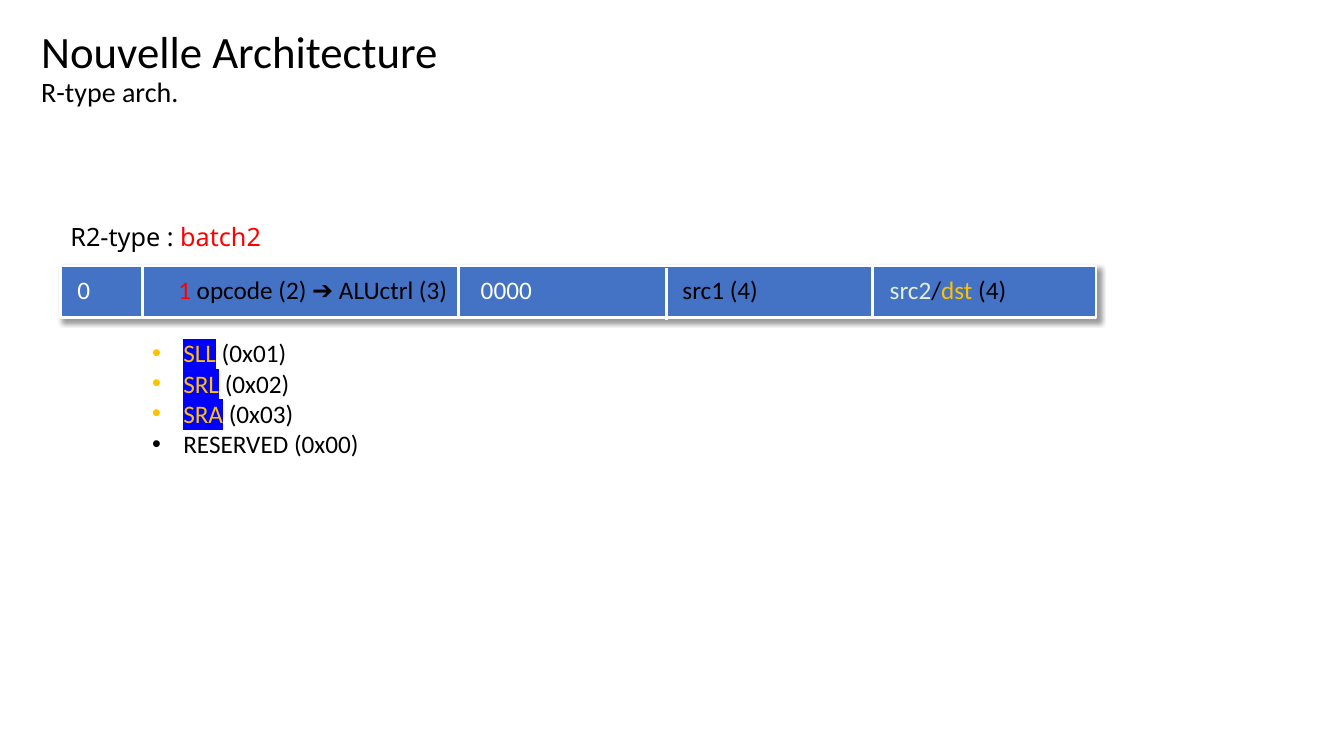
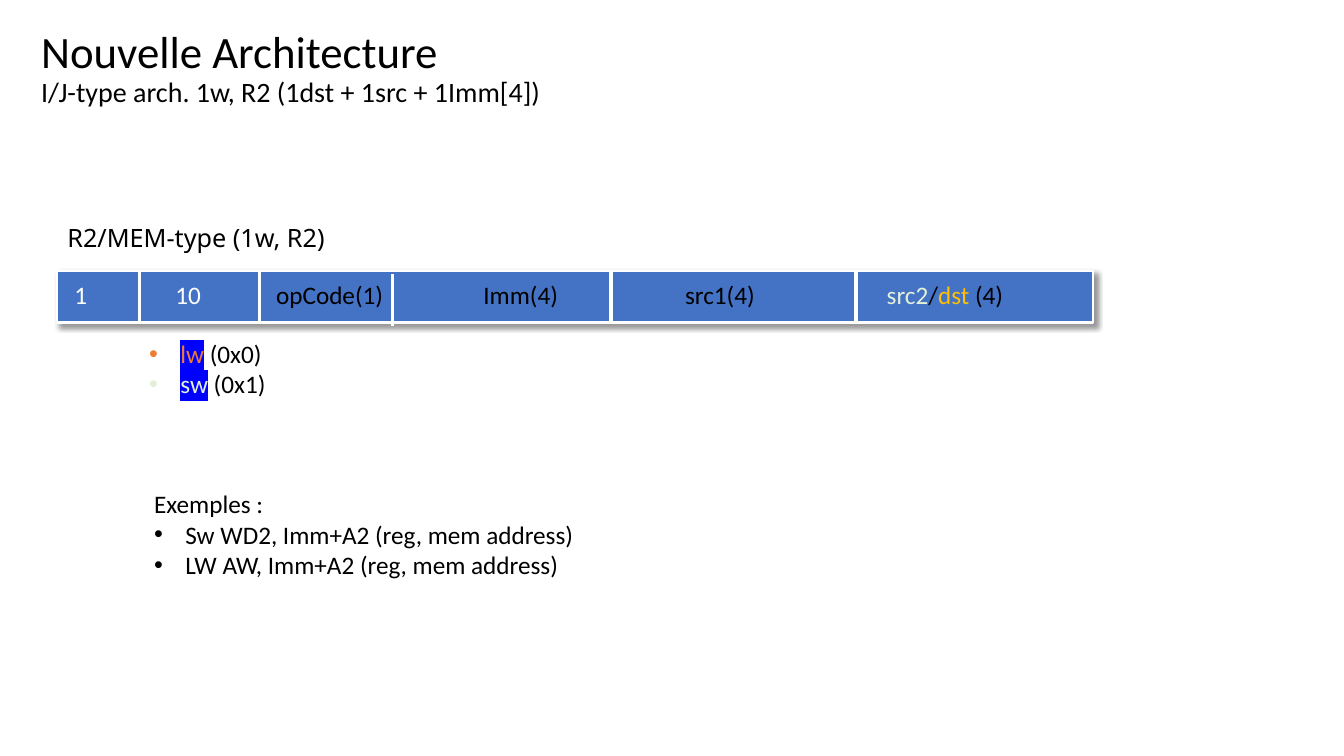
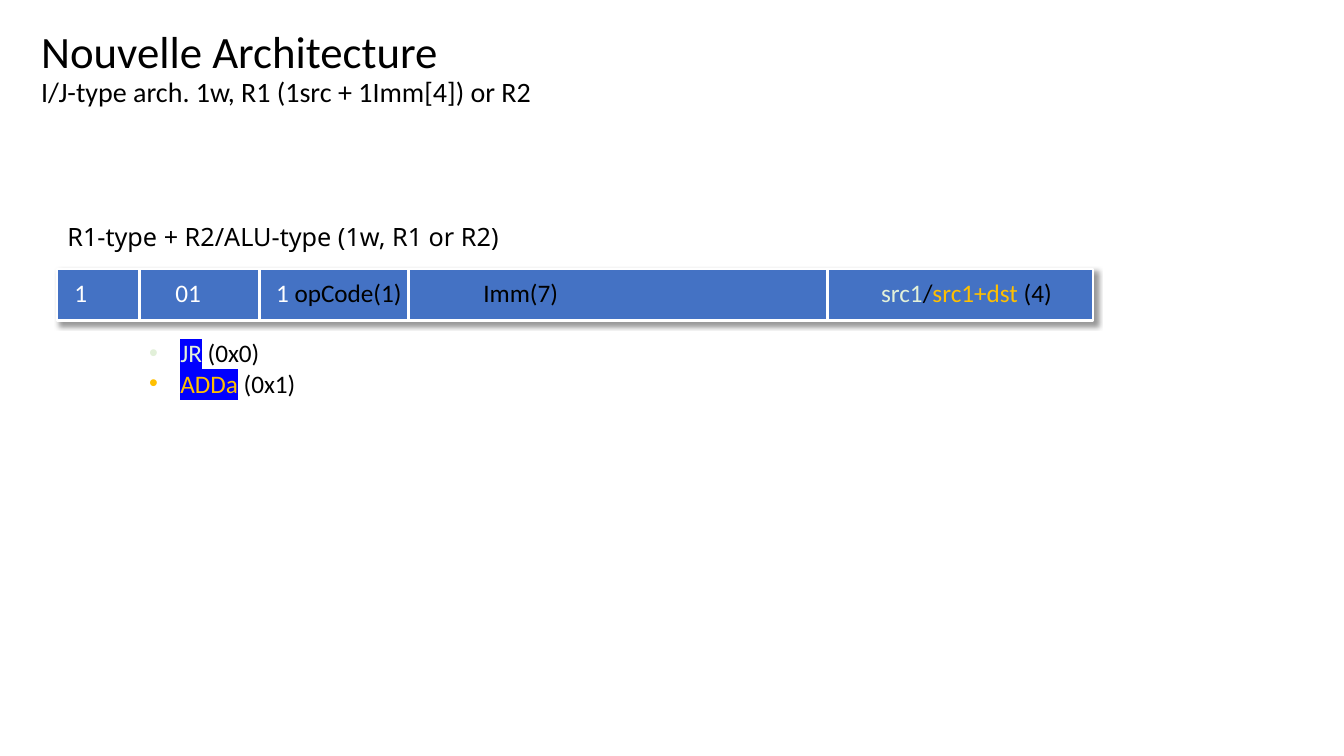
from lxml.etree import SubElement
from pptx import Presentation
from pptx.dml.color import RGBColor
from pptx.enum.shapes import MSO_CONNECTOR, MSO_SHAPE
from pptx.enum.text import MSO_ANCHOR, MSO_AUTO_SIZE
from pptx.oxml import parse_xml
from pptx.oxml.ns import nsdecls, qn
from pptx.util import Inches, Pt

COLORS = {
    "black": "000000", "white": "FFFFFF", "bar": "4472C4", "mark": "0000FF",
    "red": "FF0000", "gold": "FFC000", "green": "E2F0D9", "orange": "ED7D31",
}
BAR_W, BAR_H = 10.27, 0.51
SHADOW = (
    f'<a:effectLst {nsdecls("a")}><a:outerShdw blurRad="{Pt(4)}" dist="{Pt(3)}" '
    'dir="2700000" algn="tl" rotWithShape="0"><a:srgbClr val="000000">'
    '<a:alpha val="40000"/></a:srgbClr></a:outerShdw></a:effectLst>'
)

# Each run is (text, colour); coloured operation codes are highlighted
SLIDES = [
    {
        "subtitle": "R-type arch.",
        "label": (0.6, 2.15, 2.62, [("R2-type : ", "black"), ("batch2", "red")]),
        "bar": (0.6, 2.64),
        "fields": [("0 \t", "white"), ("1", "red"),
                   (" opcode (2) \u2794 ALUctrl (3) \t", "black"), ("0000", "white"),
                   ("\t\tsrc1 (4)\t \t", "black"), (" src2", "green"),
                   ("/", "black"), ("dst", "gold"), (" (4) ", "black")],
        "dividers": [(1.41, 0), (4.55, 0.01), (6.61, 0.02), (8.65, 0.01)],
        "codes": (1.41, 3.3, 2.47, [
            [("SLL", "gold"), (" (0x01)", "black")],
            [("SRL", "gold"), (" (0x02)", "black")],
            [("SRA", "gold"), (" (0x03)", "black")],
            [("RESERVED (0x00)", "black")]]),
    },
    {
        "subtitle": "I/J-type arch. 1w, R2 (1dst + 1src + 1Imm[4])",
        "label": (0.57, 2.16, 7.99, [("R2/MEM-type (1w, R2)", "black")]),
        "bar": (0.57, 2.69),
        "fields": [("1 \t10\t", "white"),
                   ("opCode(1)\t Imm(4) \t\t src1(4)\t\t", "black"),
                   (" src2", "green"), ("/", "black"), ("dst", "gold"),
                   (" (4) ", "black")],
        "dividers": [(1.38, 0), (2.57, 0), (3.89, 0.03), (6.06, 0), (8.49, 0)],
        "codes": (1.38, 3.31, 2.58, [
            [("lw", "orange"), (" (0x0)", "black")],
            [("sw", "green"), (" (0x1)", "black")]]),
        "examples": (1.43, 4.8, 5.85, [
            [("Exemples :", "black")],
            [("Sw WD2, Imm+A2 (reg, mem address)", "black")],
            [("LW AW, Imm+A2 (reg, mem address)", "black")]]),
    },
    {
        "subtitle": "I/J-type arch. 1w, R1 (1src + 1Imm[4]) or R2",
        "label": (0.57, 2.15, 7.99, [("R1-type + R2/ALU-type (1w, R1 or R2)", "black")]),
        "bar": (0.57, 2.67),
        "fields": [("1 \t01\t1 ", "white"), ("opCode(1)\t Imm(7)\t\t\t\t", "black"),
                   ("src1", "green"), ("/", "black"), ("src1+dst ", "gold"),
                   ("(4)", "black")],
        "dividers": [(1.38, 0), (2.57, 0), (4.05, 0), (8.21, 0)],
        "codes": (1.38, 3.3, 2.58, [
            [("JR", "green"), (" (0x0)", "black")],
            [("ADDa", "gold"), (" (0x1)", "black")]]),
    },
]


def rgb(name):
    return RGBColor.from_string(COLORS[name])


def add_text(shapes, x, y, w, paragraphs, font="Calibri", bullets_from=None,
             mark=False, tab_stops=()):
    height = 0.1 + 0.3 * len(paragraphs)
    tf = shapes.add_textbox(Inches(x), Inches(y), Inches(w), Inches(height)).text_frame
    tf.word_wrap = True
    tf.auto_size = MSO_AUTO_SIZE.SHAPE_TO_FIT_TEXT
    for i, runs in enumerate(paragraphs):
        p = tf.paragraphs[0] if i == 0 else tf.add_paragraph()
        pPr = p._p.get_or_add_pPr()
        if bullets_from is not None and i >= bullets_from:
            pPr.set("marL", str(Inches(0.31)))
            pPr.set("indent", str(-Inches(0.31)))
            SubElement(pPr, qn("a:buFont"), typeface="Arial")
            SubElement(pPr, qn("a:buChar"), char="\u2022")
        if tab_stops:
            tabs = SubElement(pPr, qn("a:tabLst"))
            for stop in tab_stops:
                SubElement(tabs, qn("a:tab"), pos=str(Inches(stop)), algn="l")
        for text, color in runs:
            r = p.add_run()
            r.text = text
            for attr, value in {"size": Pt(18), "name": font}.items():
                setattr(r.font, attr, value)
            r.font.color.rgb = rgb(color)
            if mark and color != "black":
                r._r.rPr.find(qn("a:solidFill")).addnext(parse_xml(
                    f'<a:highlight {nsdecls("a")}>'
                    f'<a:srgbClr val="{COLORS["mark"]}"/></a:highlight>'))


prs = Presentation()
prs.slide_width, prs.slide_height = Inches(13.33), Inches(7.5)

for content in SLIDES:
    s = prs.slides.add_slide(prs.slide_layouts[6])

    # Title and subtitle
    tf = s.shapes.add_textbox(Inches(0.31), Inches(0.11), Inches(5.21), Inches(1.16)).text_frame
    tf.word_wrap = True
    tf.vertical_anchor = MSO_ANCHOR.MIDDLE
    p = tf.paragraphs[0]
    p.line_spacing = 0.9
    for text, size in (("Nouvelle Architecture", 32), (content["subtitle"], 20)):
        if p.runs:
            p.add_line_break()
        r = p.add_run()
        r.text = text
        for attr, value in {"size": Pt(size), "name": "Calibri"}.items():
            setattr(r.font, attr, value)
        r.font.color.rgb = rgb("black")

    # Format label
    x, y, w, runs = content["label"]
    add_text(s.shapes, x, y, w, [runs], font="Noto Sans")

    # Instruction bar with its fields and dividers
    x, y = content["bar"]
    bar = s.shapes.add_group_shape().shapes
    sp = bar.add_shape(MSO_SHAPE.RECTANGLE, Inches(x), Inches(y), Inches(BAR_W), Inches(BAR_H))
    sp.fill.solid()
    sp.fill.fore_color.rgb = rgb("bar")
    sp.line.color.rgb = rgb("white")
    sp.line.width = Pt(1.5)
    sp._element.spPr.append(parse_xml(SHADOW))
    add_text(bar, x + 0.07, y + 0.03, 10.2, [content["fields"]], tab_stops=range(1, 10))
    for line_x, drop in content["dividers"]:
        line = bar.add_connector(MSO_CONNECTOR.STRAIGHT, Inches(line_x), Inches(y + drop),
                                 Inches(line_x), Inches(y + drop + BAR_H))
        line.line.color.rgb = rgb("white")
        line.line.width = Pt(2.25)
        SubElement(line._element.spPr, qn("a:effectLst"))

    # Operation codes and examples
    add_text(s.shapes, *content["codes"], bullets_from=0, mark=True)
    if "examples" in content:
        add_text(s.shapes, *content["examples"], bullets_from=1)

prs.save("out.pptx")
